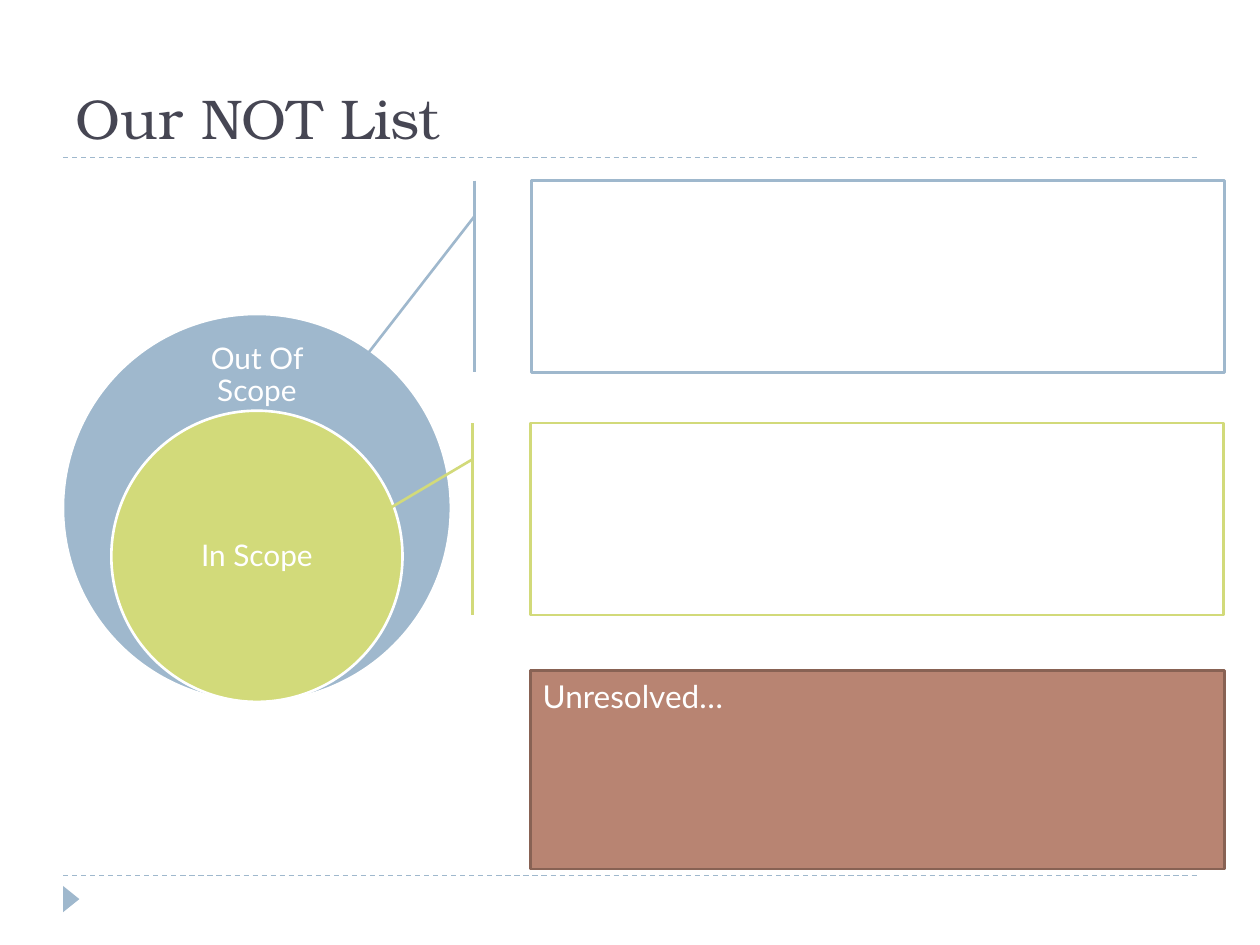
from pptx import Presentation
from pptx import util as u
from pptx.dml.color import RGBColor
from pptx.enum import dml, shapes, text
from pptx.oxml.ns import qn
from lxml import etree

BLUE = RGBColor(0x9F, 0xB8, 0xCD)
LIME = RGBColor(0xD2, 0xDA, 0x7A)
CLAY = RGBColor(0xB8, 0x84, 0x72)
BROWN = RGBColor(0x88, 0x62, 0x54)
INK = RGBColor(0x46, 0x46, 0x53)
WHITE = RGBColor(0xFF, 0xFF, 0xFF)


def write(frame, words, font="Lato", size=18, color=WHITE, align=text.PP_ALIGN.LEFT,
          anchor=text.MSO_ANCHOR.TOP, inset=None, spacing=None):
    frame.word_wrap = True
    frame.auto_size = text.MSO_AUTO_SIZE.NONE
    frame.vertical_anchor = anchor
    if inset is not None:
        frame.margin_left = frame.margin_right = u.Cm(inset)
        frame.margin_top = frame.margin_bottom = u.Cm(inset)
    paragraph = frame.paragraphs[0]
    paragraph.alignment = align
    paragraph.line_spacing = spacing
    run = paragraph.add_run()
    run.text = words
    run.font.name = font
    run.font.size = u.Pt(size)
    run.font.color.rgb = color


class ScopeSlide:
    heading_font = "TeX Gyre Bonum"
    outline = u.Pt(1.5)

    def __init__(self, deck):
        self.slide = deck.slides.add_slide(deck.slide_layouts[5])
        self.shapes = self.slide.shapes

    def title(self, words, left, top, width, height):
        heading = self.shapes.title
        heading.left, heading.top = u.Cm(left), u.Cm(top)
        heading.width, heading.height = u.Cm(width), u.Cm(height)
        write(heading.text_frame, words, font=self.heading_font, size=32,
              color=INK, anchor=text.MSO_ANCHOR.BOTTOM)

    def rule(self, left, right, y):
        rule = self.shapes.add_connector(
            shapes.MSO_CONNECTOR.STRAIGHT, u.Cm(left), u.Cm(y), u.Cm(right), u.Cm(y))
        rule.line.color.rgb = BLUE
        rule.line.width = u.Pt(0.75)
        rule.line.dash_style = dml.MSO_LINE.DASH
        etree.SubElement(rule._element.spPr, qn("a:effectLst"))

    def shape(self, kind, left, top, width, height, fill, line=None):
        shape = self.shapes.add_shape(
            kind, u.Cm(left), u.Cm(top), u.Cm(width), u.Cm(height))
        shape.shadow.inherit = False
        shape.fill.solid()
        shape.fill.fore_color.rgb = fill
        if line is None:
            shape.line.fill.background()
        else:
            shape.line.color.rgb = line
            shape.line.width = self.outline
        return shape

    def circle(self, center, bottom, size, fill):
        self.shape(shapes.MSO_SHAPE.OVAL, center - size / 2, bottom - size,
                   size, size, fill, WHITE)

    def label(self, words, center, top, width, height):
        box = self.shapes.add_textbox(
            u.Cm(center - width / 2), u.Cm(top), u.Cm(width), u.Cm(height))
        write(box.text_frame, words, size=17, align=text.PP_ALIGN.CENTER,
              anchor=text.MSO_ANCHOR.MIDDLE, inset=0.33, spacing=0.9)

    def callout(self, left, top, width, height, color, target):
        callout = self.shape(shapes.MSO_SHAPE.LINE_CALLOUT_1_BORDER_AND_ACCENT_BAR,
                             left, top, width, height, WHITE, color)
        for index, value in enumerate((0.188, -0.083, *target)):
            callout.adjustments[index] = value


deck = Presentation()
deck.slide_width, deck.slide_height = u.Cm(25.4), u.Cm(19.05)
scope = ScopeSlide(deck)

for rule_y in (17.65, 3.18):
    scope.rule(1.27, 24.13, rule_y)
marker = scope.shape(shapes.MSO_SHAPE.ISOSCELES_TRIANGLE, 1.17, 17.96, 0.53, 0.33, BLUE)
marker.rotation = 90
scope.title("Our NOT List", 1.27, 0.43, 22.86, 2.74)

center, bottom = 5.18, 14.15
rings = (
    ("Out Of Scope", 7.82, BLUE, 6.91, 4.1, 1.32),
    ("In Scope", 5.87, LIME, 9.75, 4.14, 2.95),
)
for words, size, color, top, width, height in rings:
    scope.circle(center, bottom, size, color)
    scope.label(words, center, top, width, height)

scope.callout(10.72, 3.64, 13.97, 3.87, BLUE, (0.922, -0.241))
scope.callout(10.69, 8.53, 13.97, 3.87, LIME, (0.564, -0.259))
unresolved = scope.shape(shapes.MSO_SHAPE.RECTANGLE, 10.69, 13.52, 14, 4, CLAY, BROWN)
write(unresolved.text_frame, "Unresolved…")

deck.save("out.pptx")
